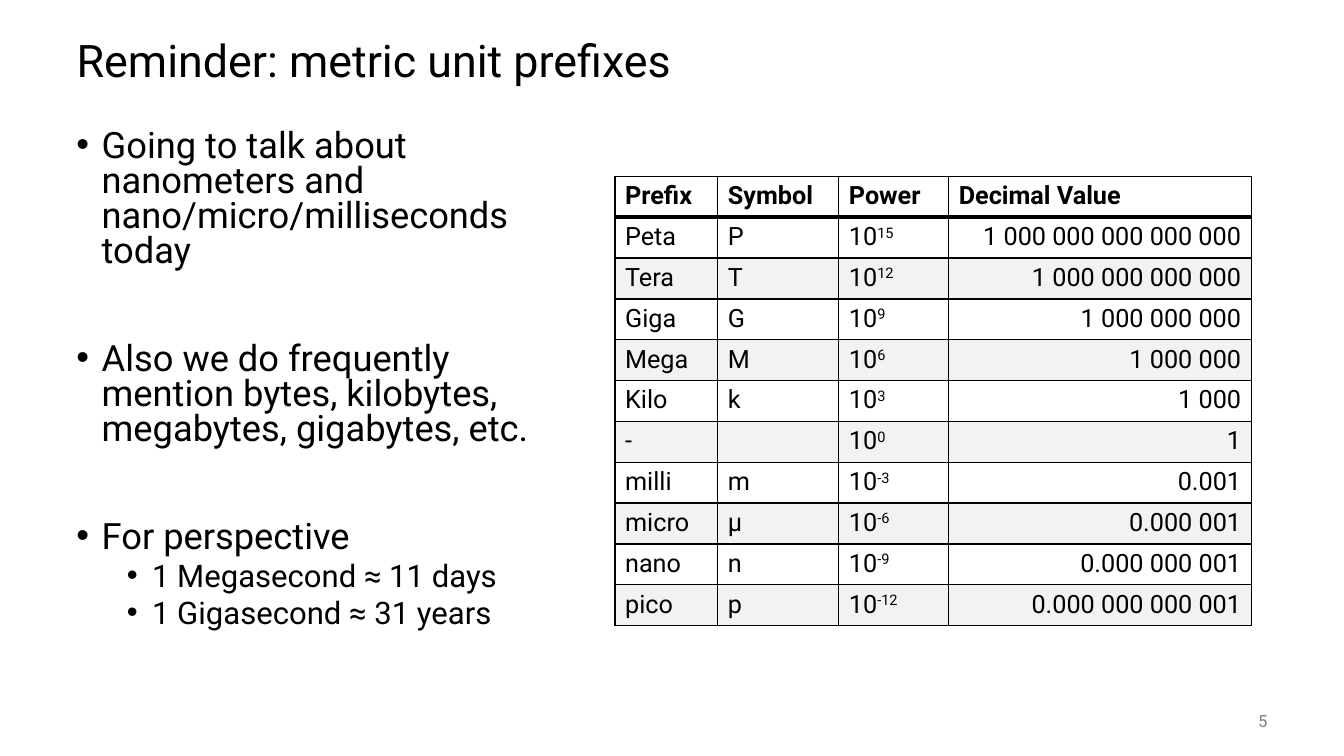
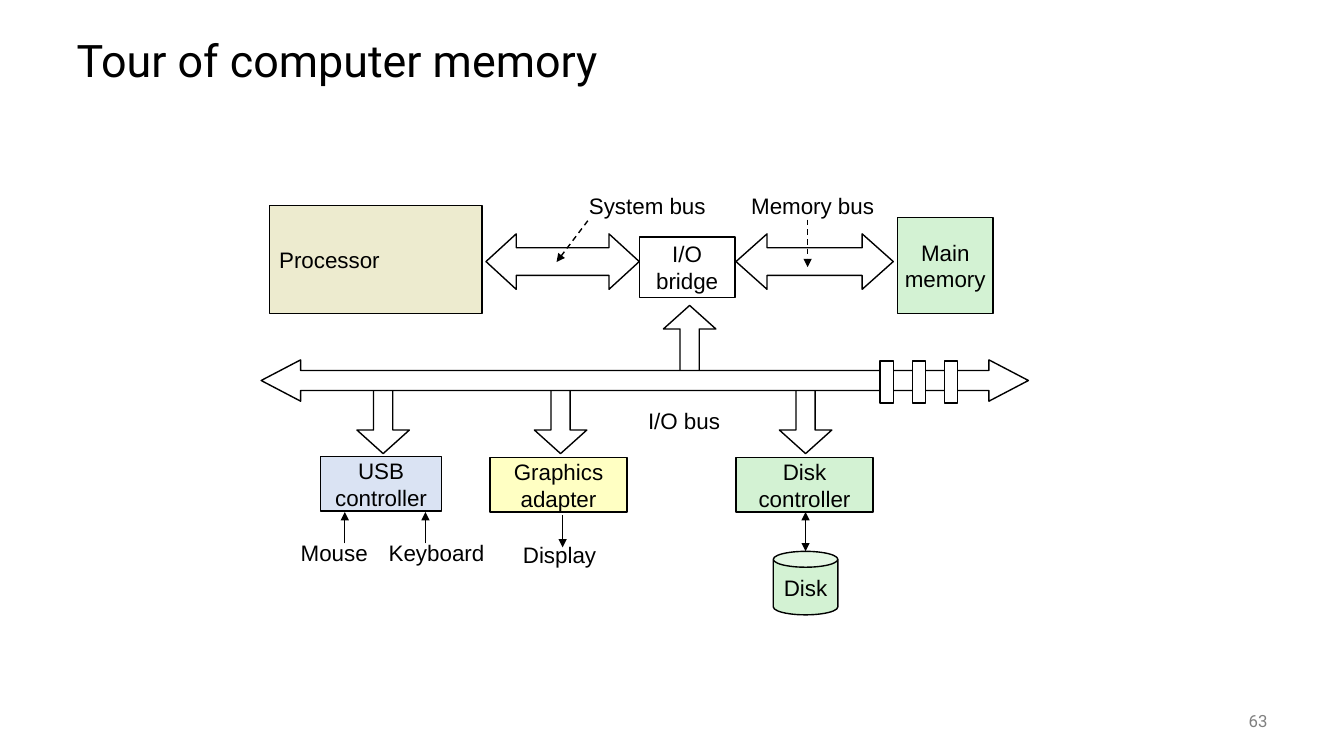
"""Build two lecture slides: metric unit prefixes and a tour of computer memory."""
from lxml.etree import SubElement
from pptx import Presentation
from pptx.dml.color import RGBColor
from pptx.enum.dml import MSO_LINE
from pptx.enum.shapes import MSO_CONNECTOR, MSO_SHAPE
from pptx.enum.text import MSO_ANCHOR, MSO_AUTO_SIZE, PP_ALIGN
from pptx.oxml.ns import qn
from pptx.util import Inches, Pt

HUES = {
    "ink": "000000",
    "grey": "808080",
    "white": "FFFFFF",
    "band": "F2F2F2",
    "green": "D3F2D3",
    "sand": "EDEBCF",
    "lemon": "FFFFC3",
    "blue": "DAE3F3",
}
TONES = {name: RGBColor.from_string(code) for name, code in HUES.items()}
HEAD = {"name": "Roboto", "size": Pt(32)}
PAGE = {"name": "Roboto", "size": Pt(12)}
POINT = {"name": "Roboto", "size": Pt(25.9)}
MINOR = {"name": "Roboto", "size": Pt(22.2)}
CELL = {"name": "Roboto", "size": Pt(18), "bold": False}
TOP = {**CELL, "bold": True}
LABEL = {"name": "Arial", "size": Pt(16)}
LEFT, MID, RIGHT = PP_ALIGN.LEFT, PP_ALIGN.CENTER, PP_ALIGN.RIGHT


def say(para, text, style, tone="ink"):
    run = para.add_run()
    run.text = text
    run.font.color.rgb = TONES[tone]
    for key, value in style.items():
        setattr(run.font, key, value)
    return run


def fill(frame, text, style, align=LEFT, tone="ink"):
    frame.word_wrap = align != MID
    frame.auto_size = MSO_AUTO_SIZE.NONE
    frame.vertical_anchor = MSO_ANCHOR.MIDDLE
    for i, line in enumerate(text.split("\n")):
        para = frame.add_paragraph() if i else frame.paragraphs[0]
        para.alignment = align
        say(para, line, style, tone)


deck = Presentation()
deck.slide_width, deck.slide_height = Inches(13.33), Inches(7.5)
slides = []
for title, number in [("Reminder: metric unit prefixes", "5"), ("Tour of computer memory", "63")]:
    slide = deck.slides.add_slide(deck.slide_layouts[5])
    slides.append(slide)
    head = slide.shapes.title
    head.left, head.top, head.width, head.height = [Inches(n) for n in (0.66, 0.25, 12, 0.75)]
    fill(head.text_frame, title, HEAD)
    head.text_frame.paragraphs[0].line_spacing = 0.9
    foot = slide.shapes.add_textbox(Inches(11.67), Inches(6.95), Inches(1), Inches(0.4))
    fill(foot.text_frame, number, PAGE, RIGHT, "grey")
units, tour = [slide.shapes for slide in slides]

body = units.add_textbox(Inches(0.66), Inches(1.25), Inches(4.88), Inches(5.5)).text_frame
body.word_wrap = True
points = [
    (0, 0, "Going to talk about nanometers and nano/micro/milliseconds today"),
    (0, 52.5, "Also we do frequently mention bytes, kilobytes, megabytes, gigabytes, etc."),
    (0, 52.5, "For perspective"),
    (1, 5, "1 Megasecond ≈ 11 days"),
    (1, 5, "1 Gigasecond ≈ 31 years"),
]
for i, (level, gap, text) in enumerate(points):
    para = body.add_paragraph() if i else body.paragraphs[0]
    para.level = level
    para.line_spacing = 0.8
    para.space_before = Pt(gap)
    props = para._p.get_or_add_pPr()
    props.set("marL", str(Inches(0.25 + 0.5 * level)))
    props.set("indent", str(Inches(-0.25)))
    SubElement(props, qn("a:buFont"), typeface="Arial")
    SubElement(props, qn("a:buChar"), char="•")
    say(para, text, MINOR if level else POINT)

rows = [
    ("Prefix", "Symbol", "Power", "Decimal Value"),
    ("Peta", "P", "15", "1 000 000 000 000 000"),
    ("Tera", "T", "12", "1 000 000 000 000"),
    ("Giga", "G", "9", "1 000 000 000"),
    ("Mega", "M", "6", "1 000 000"),
    ("Kilo", "k", "3", "1 000"),
    ("-", "", "0", "1"),
    ("milli", "m", "-3", "0.001"),
    ("micro", "μ", "-6", "0.000 001"),
    ("nano", "n", "-9", "0.000 000 001"),
    ("pico", "p", "-12", "0.000 000 000 001"),
]
high = Inches(4.46 / len(rows))
grid = units.add_table(
    len(rows), 4, Inches(6.1), Inches(1.75), Inches(6.31), high * len(rows)
).table
grid.first_row = grid.horz_banding = False
for column, width in zip(grid.columns, (1.02, 1.2, 1.09, 3)):
    column.width = Inches(width)
for r, row in enumerate(rows):
    grid.rows[r].height = high
    for c, text in enumerate(row):
        cell = grid.cell(r, c)
        para = cell.text_frame.paragraphs[0]
        if r and c == 2:
            say(para, "10", CELL)
            power = say(para, text, CELL)
            power._r.get_or_add_rPr().set("baseline", "30000")
        elif text:
            say(para, text, CELL if r else TOP)
        para.alignment = RIGHT if r and c == 3 else LEFT
        props = cell._tc.get_or_add_tcPr()
        for side in "LRTB":
            thick = (r, side) in [(0, "B"), (1, "T")]
            edge = SubElement(props, qn("a:ln" + side), w=str(Pt(3 if thick else 1)))
            paint = SubElement(edge, qn("a:solidFill"))
            SubElement(paint, qn("a:srgbClr"), val=HUES["ink"])
        cell.fill.solid()
        cell.fill.fore_color.rgb = TONES["band" if r and r % 2 == 0 else "white"]

RECT, CAN = MSO_SHAPE.RECTANGLE, MSO_SHAPE.CAN
BOTH, UP, DOWN = MSO_SHAPE.LEFT_RIGHT_ARROW, MSO_SHAPE.UP_ARROW, MSO_SHAPE.DOWN_ARROW
stem = (0.367, 0.449)
parts = [
    (RECT, (8.9, 2.16, 0.95, 0.95), "green", "Main\nmemory", ()),
    (BOTH, (7.3, 2.32, 1.56, 0.55), "white", "", (0.5, 0.56)),
    (RECT, (6.34, 2.35, 0.95, 0.6), "white", "I/O\nbridge", ()),
    (BOTH, (4.82, 2.32, 1.52, 0.55), "white", "", (0.5, 0.545)),
    (RECT, (2.67, 2.04, 2.11, 1.07), "sand", "Processor", ()),
    (UP, (6.58, 3.03, 0.52, 0.71), "white", "", stem),
    *[(DOWN, (x, 3.79, 0.52, 0.71), "white", "", stem) for x in (3.54, 5.3, 7.73)],
    (RECT, (3.18, 4.53, 1.2, 0.54), "blue", "USB\ncontroller", ()),
    (RECT, (4.86, 4.54, 1.36, 0.54), "lemon", "Graphics\nadapter", ()),
    (RECT, (7.3, 4.54, 1.36, 0.54), "green", "Disk\ncontroller", ()),
    (CAN, (7.67, 5.47, 0.64, 0.63), "green", "Disk", (0.25,)),
    (BOTH, (2.59, 3.57, 7.61, 0.41), "white", "", (0.486, 0.955)),
    *[(RECT, (8.73 + 0.32 * i, 3.58, 0.13, 0.42), "white", "", ()) for i in range(3)],
]
for kind, place, tone, text, bends in parts:
    part = tour.add_shape(kind, *[Inches(n) for n in place])
    part.shadow.inherit = False
    part.fill.solid()
    part.fill.fore_color.rgb = TONES[tone]
    part.line.color.rgb = TONES["ink"]
    part.line.width = Pt(1)
    for i, bend in enumerate(bends):
        part.adjustments[i] = bend
    if text:
        fill(part.text_frame, text, LABEL, LEFT if text == "Processor" else MID)

labels = [
    ("System bus", 5.73, 1.85, 1.38),
    ("Memory bus", 7.34, 1.85, 1.44),
    ("Mouse", 2.88, 5.3, 0.87),
    ("Keyboard", 3.75, 5.3, 1.16),
    ("Display", 5.08, 5.32, 0.94),
    ("I/O bus", 6.32, 3.99, 0.93),
]
for text, x, y, width in labels:
    label = tour.add_textbox(Inches(x), Inches(y), Inches(width), Inches(0.37))
    fill(label.text_frame, text, LABEL, MID)

arrows = [
    ((5.83, 2.19, 5.52, 2.6), True, ["tail"]),
    ((8.01, 2.18, 8.01, 2.65), True, ["tail"]),
    ((3.42, 5.39, 3.42, 5.08), False, ["tail"]),
    ((4.22, 5.39, 4.22, 5.08), False, ["tail"]),
    ((5.58, 5.11, 5.58, 5.43), False, ["tail"]),
    ((7.99, 5.08, 7.99, 5.47), False, ["head", "tail"]),
]
for ends, dashed, tips in arrows:
    arrow = tour.add_connector(MSO_CONNECTOR.STRAIGHT, *[Inches(n) for n in ends])
    arrow.line.color.rgb = TONES["ink"]
    arrow.line.width = Pt(1)
    if dashed:
        arrow.line.dash_style = MSO_LINE.DASH
    props = arrow._element.spPr
    for tip in tips:
        SubElement(props.find(qn("a:ln")), qn(f"a:{tip}End"), type="triangle")
    SubElement(props, qn("a:effectLst"))

deck.save("out.pptx")
